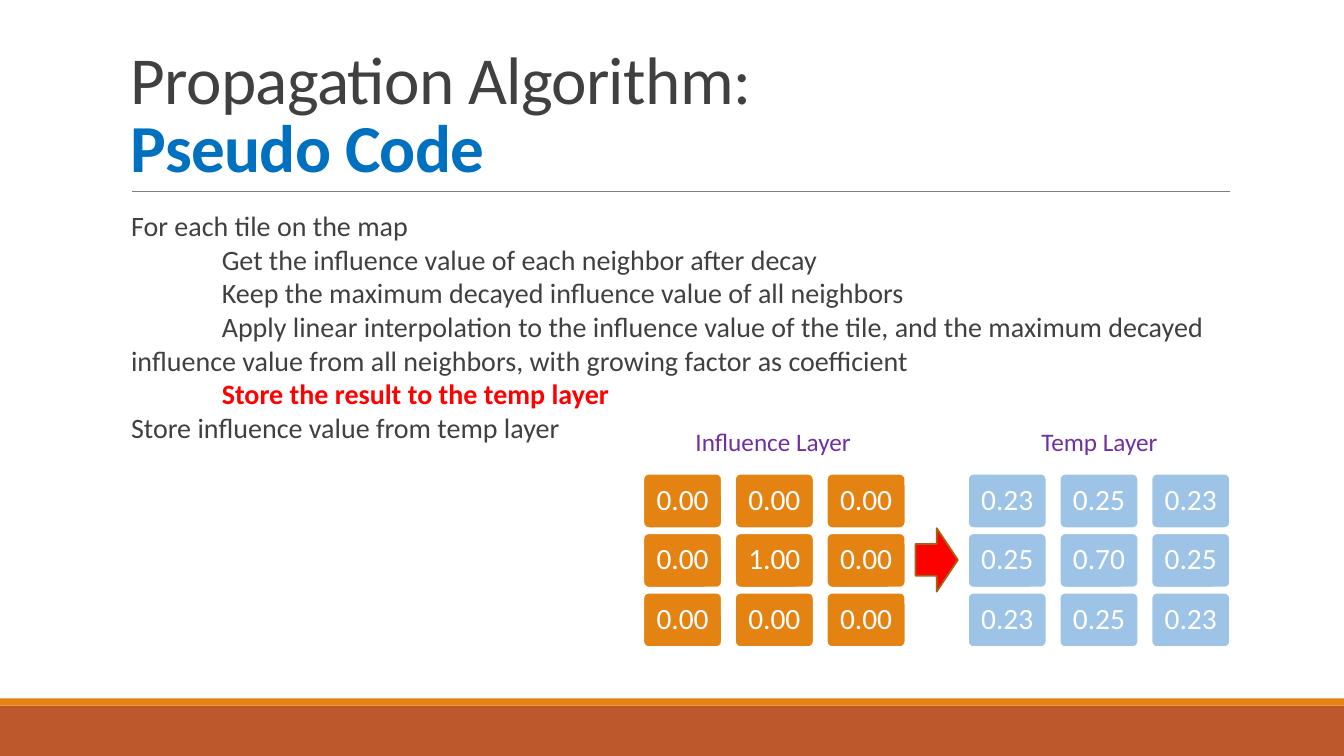
from lxml import etree
from pptx import Presentation
from pptx.dml.color import RGBColor
from pptx.enum.shapes import MSO_CONNECTOR, MSO_SHAPE
from pptx.enum.text import MSO_ANCHOR, PP_ALIGN
from pptx.oxml.ns import qn
from pptx.util import Inches, Pt

RECTANGLE = MSO_SHAPE.RECTANGLE
ROUNDED = MSO_SHAPE.ROUNDED_RECTANGLE
RIGHT_ARROW = MSO_SHAPE.RIGHT_ARROW
STRAIGHT = MSO_CONNECTOR.STRAIGHT
TOP, MIDDLE, BOTTOM = MSO_ANCHOR.TOP, MSO_ANCHOR.MIDDLE, MSO_ANCHOR.BOTTOM
CENTER = PP_ALIGN.CENTER

FONT = "Calibri"
WHITE, DARK, GRAY = "FFFFFF", "404040", "808080"
ORANGE, RUST, BROWN = "E48312", "BD582C", "A9610D"
BLUE, LIGHT_BLUE, RED, PURPLE = "0070C0", "9DC3E6", "FF0000", "7030A0"

# Pseudo code lines: text, indented, highlighted
PSEUDO_CODE = [
    ("For each tile on the map", False, False),
    ("Get the influence value of each neighbor after decay", True, False),
    ("Keep the maximum decayed influence value of all neighbors", True, False),
    ("Apply linear interpolation to the influence value of the tile, and the "
     "maximum decayed influence value from all neighbors, with growing factor "
     "as coefficient", True, False),
    ("Store the result to the temp layer", True, True),
    ("Store influence value from temp layer", False, False),
]
INFLUENCE_VALUES = [
    ["0.00", "0.00", "0.00"],
    ["0.00", "1.00", "0.00"],
    ["0.00", "0.00", "0.00"],
]
TEMP_VALUES = [
    ["0.23", "0.25", "0.23"],
    ["0.25", "0.70", "0.25"],
    ["0.23", "0.25", "0.23"],
]
GRID_TOP = 4.7
CELL_WIDTH, CELL_HEIGHT = 0.78, 0.54
COLUMN_STEP, ROW_STEP = 0.91, 0.59


def color(hex_string):
    return RGBColor.from_string(hex_string)


def add_run(paragraph, text, size, hex_string, bold=False):
    run = paragraph.add_run()
    run.text = text
    run.font.name = FONT
    run.font.size = Pt(size)
    run.font.bold = bold
    run.font.color.rgb = color(hex_string)
    return run


def add_box(shapes, kind, left, top, width, height, fill, line=None):
    shape = shapes.add_shape(kind, Inches(left), Inches(top),
                             Inches(width), Inches(height))
    shape.shadow.inherit = False
    shape.fill.solid()
    shape.fill.fore_color.rgb = color(fill)
    if line:
        shape.line.color.rgb = color(line)
        shape.line.width = Pt(1.25)
    else:
        shape.line.fill.background()
    return shape


def add_text_frame(slide, left, top, width, height, anchor=TOP):
    box = slide.shapes.add_textbox(Inches(left), Inches(top),
                                   Inches(width), Inches(height))
    frame = box.text_frame
    frame.word_wrap = True
    frame.vertical_anchor = anchor
    return frame


def add_rule(slide, left, right, top):
    rule = slide.shapes.add_connector(STRAIGHT, Inches(left), Inches(top),
                                      Inches(right), Inches(top))
    rule.line.color.rgb = color(GRAY)
    rule.line.width = Pt(0.5)
    etree.SubElement(rule._element.spPr, qn("a:effectLst"))


def add_title(slide):
    frame = add_text_frame(slide, 1.2, 0.31, 11, 1.59, BOTTOM)
    paragraph = frame.paragraphs[0]
    paragraph.line_spacing = 0.85
    first = add_run(paragraph, "Propagation Algorithm:", 48, DARK)
    paragraph.add_line_break()
    second = add_run(paragraph, "Pseudo Code", 48, BLUE, bold=True)
    for run in (first, second):
        run.font._element.set("spc", "-50")


def add_pseudo_code(slide):
    frame = add_text_frame(slide, 1.2, 2.02, 11, 4.4)
    frame.margin_left = frame.margin_right = 0
    for index, (text, indented, highlighted) in enumerate(PSEUDO_CODE):
        paragraph = frame.add_paragraph() if index else frame.paragraphs[0]
        properties = paragraph._p.get_or_add_pPr()
        properties.set("marL", str(Inches(0.1)))
        properties.set("indent", str(Inches(0.9 if indented else 0)))
        paragraph.line_spacing = Pt(24)
        add_run(paragraph, text, 20, RED if highlighted else DARK, highlighted)


def add_layer(slide, name, label_left, grid_left, values, fill):
    frame = add_text_frame(slide, label_left, 4.18, 1.77, 0.4)
    add_run(frame.paragraphs[0], name, 18, PURPLE)
    group = slide.shapes.add_group_shape()
    for row, row_values in enumerate(values):
        for column, value in enumerate(row_values):
            cell = add_box(group.shapes, ROUNDED,
                           grid_left + column * COLUMN_STEP,
                           GRID_TOP + row * ROW_STEP,
                           CELL_WIDTH, CELL_HEIGHT, fill, WHITE)
            cell.adjustments[0] = 0.1
            cell.text_frame.vertical_anchor = MIDDLE
            paragraph = cell.text_frame.paragraphs[0]
            paragraph.alignment = CENTER
            paragraph.line_spacing = 0.9
            add_run(paragraph, value, 21, WHITE)


def main():
    presentation = Presentation()
    presentation.slide_width = Inches(13.33)
    presentation.slide_height = Inches(7.5)
    slide = presentation.slides.add_slide(presentation.slide_layouts[6])

    # Footer bands and title rule
    add_box(slide.shapes, RECTANGLE, 0, 7, 13.33, 0.5, RUST)
    add_box(slide.shapes, RECTANGLE, 0, 6.93, 13.33, 0.07, ORANGE)
    add_rule(slide, 1.31, 12.2, 1.9)

    # Title and algorithm
    add_title(slide)
    add_pseudo_code(slide)

    # Layers before and after propagation
    add_layer(slide, "Influence Layer", 6.8, 6.38, INFLUENCE_VALUES, ORANGE)
    add_box(slide.shapes, RIGHT_ARROW, 9.08, 5.24, 0.42, 0.63, RED, BROWN)
    add_layer(slide, "Temp Layer", 10.23, 9.6, TEMP_VALUES, LIGHT_BLUE)

    presentation.save("out.pptx")


if __name__ == "__main__":
    main()
